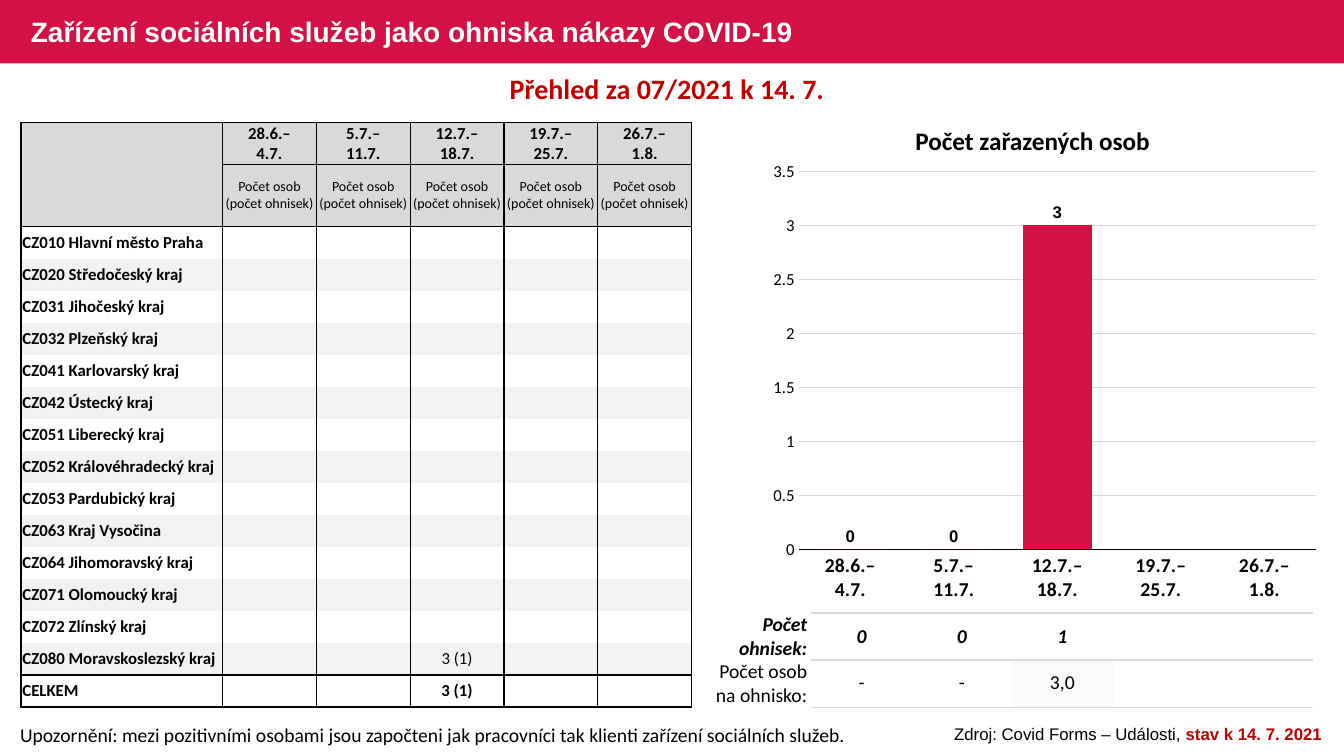
import copy

import lxml.etree
import pptx
import pptx.chart.data
import pptx.dml.color
import pptx.enum.chart
import pptx.enum.shapes
import pptx.enum.text
import pptx.oxml.ns
import pptx.util

Pt = pptx.util.Pt
qn = pptx.oxml.ns.qn
ALIGN = pptx.enum.text.PP_ALIGN
MIDDLE = pptx.enum.text.MSO_ANCHOR.MIDDLE

CRIMSON, DARK_RED, BLACK, WHITE = "D31145", "C00000", "000000", "FFFFFF"
HEADER_GREY, BAND_GREY, RULE_GREY, PALE = "D9D9D9", "F2F2F2", "D9D9D9", "FCF9FC"

WEEKS = ["28.6.–\n4.7.", "5.7.–\n11.7.", "12.7.–\n18.7.", "19.7.–\n25.7.", "26.7.–\n1.8."]
REGIONS = [
    "CZ010 Hlavní město Praha", "CZ020 Středočeský kraj", "CZ031 Jihočeský kraj",
    "CZ032 Plzeňský kraj", "CZ041 Karlovarský kraj", "CZ042 Ústecký kraj",
    "CZ051 Liberecký kraj", "CZ052 Královéhradecký kraj", "CZ053 Pardubický kraj",
    "CZ063 Kraj Vysočina", "CZ064 Jihomoravský kraj", "CZ071 Olomoucký kraj",
    "CZ072 Zlínský kraj", "CZ080 Moravskoslezský kraj",
]
NO_COUNTS = [""] * 5
JULY_COUNTS = ["", "", "3 (1)", "", ""]


def color(value):
    return pptx.dml.color.RGBColor.from_string(value)


def set_font(font, hue=BLACK, **values):
    for attribute, value in ({"name": "Calibri", "bold": False} | values).items():
        setattr(font, attribute, value)
    font.color.rgb = color(hue)


def write(paragraph, text, **font):
    """Add text to the paragraph; a newline becomes a line break of the same size."""
    for number, line in enumerate(text.split("\n")):
        if number:
            paragraph.add_line_break()
        run = paragraph.add_run()
        run.text = line
        set_font(run.font, **font)
    for line_break in paragraph._p.findall(qn("a:br")):
        line_break.append(copy.deepcopy(run.font._element))


def add_text(slide, box, parts, align=ALIGN.LEFT, anchor=pptx.enum.text.MSO_ANCHOR.TOP):
    frame = slide.shapes.add_textbox(*map(Pt, box)).text_frame
    frame.word_wrap = True
    frame.vertical_anchor = anchor
    paragraph = frame.paragraphs[0]
    paragraph.alignment = align
    for text, font in parts:
        write(paragraph, text, **font)
    return paragraph


def add_table(slide, left, top, widths, heights):
    frame = slide.shapes.add_table(len(heights), len(widths), Pt(left), Pt(top),
                                   Pt(sum(widths)), Pt(sum(heights)))
    table = frame.table
    table.first_row = table.horz_banding = False
    for column, width in zip(table.columns, widths):
        column.width = Pt(width)
    for row, height in zip(table.rows, heights):
        row.height = Pt(height)
    return table


def set_borders(cell, widths, hue):
    """Draw the left, right, top and bottom border; width 0 means none."""
    properties = cell._tc.get_or_add_tcPr()
    for side, width in zip("LRTB", widths):
        line = lxml.etree.SubElement(properties, qn(f"a:ln{side}"), w=str(Pt(width)))
        if width:
            fill = lxml.etree.SubElement(line, qn("a:solidFill"))
            lxml.etree.SubElement(fill, qn("a:srgbClr"), val=hue)
        else:
            lxml.etree.SubElement(line, qn("a:noFill"))


def fill_cell(cell, text="", align=ALIGN.CENTER, fill=None, borders=(0, 0, 0, 0),
              border_color=BLACK, margins=(1, 1), **font):
    cell.vertical_anchor = MIDDLE
    cell.margin_left, cell.margin_right = map(Pt, margins)
    cell.margin_top = cell.margin_bottom = 0
    set_borders(cell, borders, border_color)
    if fill:
        cell.fill.solid()
        cell.fill.fore_color.rgb = color(fill)
    else:
        cell.fill.background()
    if text:
        paragraph = cell.text_frame.paragraphs[0]
        paragraph.alignment = align
        write(paragraph, text, **font)


def add_region_table(slide):
    rows = [["", *WEEKS], [""] + ["Počet osob (počet ohnisek)"] * 5]
    rows += [[region, *NO_COUNTS] for region in REGIONS[:-1]]
    rows += [[REGIONS[-1], *JULY_COUNTS], ["CELKEM", *JULY_COUNTS]]
    total = len(rows) - 1
    rules = {0: 1, 1: 1, 2: 0.5, total: 1, total + 1: 1}
    table = add_table(slide, 15, 87.8, [144] + [67] * 5, [29.5, 44.6] + [22.9] * 15)
    for r, texts in enumerate(rows):
        if r < 2:
            fill = HEADER_GREY
        else:
            fill = BAND_GREY if r % 2 and r < total else None
        for c, text in enumerate(texts):
            above, below = (0 if c == 0 and edge == 1 else rules.get(edge, 0)
                            for edge in (r, r + 1))
            fill_cell(table.cell(r, c), text, fill=fill, borders=(1, 1, above, below),
                      align=ALIGN.CENTER if c or r < 2 else ALIGN.LEFT,
                      size=Pt(10 if r == 1 else 12),
                      bold=c == 0 or r in (0, total))


def add_outbreak_tables(slide):
    """Outbreak figures under the chart, with their labels and grey rules."""
    figures = add_table(slide, 579.6, 437.8, [71.7] * 5, [33.5] * 2)
    labels = add_table(slide, 506.9, 437.8, [72.7] + [51.2] * 7, [33.5] * 2)
    rows = [("Počet ohnisek:", ["0", "0", "1", "", ""]),
            ("Počet osob na ohnisko:", ["-", "-", "3,0", "", ""])]
    for r, (label, values) in enumerate(rows):
        font = {"size": Pt(14), "bold": r == 0, "italic": r == 0}
        for c, value in enumerate(values):
            fill_cell(figures.cell(r, c), value, fill=PALE if value == "3,0" else None, **font)
        fill_cell(labels.cell(r, 0), label, ALIGN.RIGHT, margins=(1, 3), **font)
        for c in range(1, 8):
            fill_cell(labels.cell(r, c), borders=(0, 0, 1, 1), border_color=RULE_GREY)


def set_line(line, hue):
    line.color.rgb = color(hue)
    line.width = Pt(0.75)


def add_people_chart(slide):
    people = pptx.chart.data.CategoryChartData()
    people.categories = WEEKS
    people.add_series("Počet osob", [0, 0, 3, None, None])
    chart = slide.shapes.add_chart(pptx.enum.chart.XL_CHART_TYPE.COLUMN_CLUSTERED,
                                   *map(Pt, (544.3, 108.7, 403.9, 327.6)), people).chart
    chart.has_legend = chart.has_title = False
    set_font(chart.font, name="Arial", size=Pt(14), bold=True)

    weeks, counts = chart.category_axis, chart.value_axis
    for axis in (weeks, counts):
        axis.major_tick_mark = axis.minor_tick_mark = pptx.enum.chart.XL_TICK_MARK.NONE
    set_font(weeks.tick_labels.font, size=Pt(14), bold=True)
    set_line(weeks.format.line, BLACK)
    set_font(counts.tick_labels.font, size=Pt(12))
    counts.minimum_scale, counts.maximum_scale, counts.major_unit = 0, 3.5, 0.5
    counts.format.line.fill.background()
    set_line(counts.major_gridlines.format.line, RULE_GREY)

    plot = chart.plots[0]
    plot.gap_width = 50
    plot.vary_by_categories = False
    bars = plot.series[0]
    bars.format.fill.solid()
    bars.format.fill.fore_color.rgb = color(CRIMSON)
    bars.data_labels.show_value = True
    bars.data_labels.position = pptx.enum.chart.XL_LABEL_POSITION.OUTSIDE_END
    set_font(bars.data_labels.font, name="Arial", size=Pt(12), bold=True)


def add_banner(slide):
    banner = slide.shapes.add_shape(pptx.enum.shapes.MSO_SHAPE.RECTANGLE,
                                    0, 0, Pt(960), Pt(45.4))
    banner.shadow.inherit = False
    banner.fill.solid()
    banner.fill.fore_color.rgb = color(CRIMSON)
    banner.line.fill.background()


def main():
    deck = pptx.Presentation()
    deck.slide_width, deck.slide_height = Pt(960), Pt(540)
    slide = deck.slides.add_slide(deck.slide_layouts[6])
    add_banner(slide)
    add_region_table(slide)
    add_text(slide, (7.2, 512.6, 613.4, 24.5), [
        ("Upozornění: mezi pozitivními osobami jsou započteni jak pracovníci "
         "tak klienti zařízení sociálních služeb.", {"size": Pt(14)})])
    add_people_chart(slide)
    add_text(slide, (544.3, 85.7, 386.6, 28.8),
             [("Počet zařazených osob", {"size": Pt(18), "bold": True})], ALIGN.CENTER)
    add_outbreak_tables(slide)
    title = add_text(slide, (15, 1.4, 585.4, 45.4), [
        ("Zařízení sociálních služeb jako ohniska nákazy COVID-19",
         {"name": "Arial", "size": Pt(20), "bold": True, "hue": WHITE})], anchor=MIDDLE)
    title.line_spacing = 0.9
    add_text(slide, (15, 47.5, 923, 31.7), [
        ("Přehled za 07/2021 k 14. 7.", {"size": Pt(20), "bold": True, "hue": DARK_RED})],
        ALIGN.CENTER)
    source = {"name": "Arial", "size": Pt(12)}
    add_text(slide, (673.2, 513.4, 279.4, 21.6), [
        ("Zdroj: Covid Forms – Události, ", source),
        ("stav k 14. 7. 2021", source | {"bold": True, "hue": DARK_RED})], ALIGN.CENTER)
    deck.save("out.pptx")


if __name__ == "__main__":
    main()
